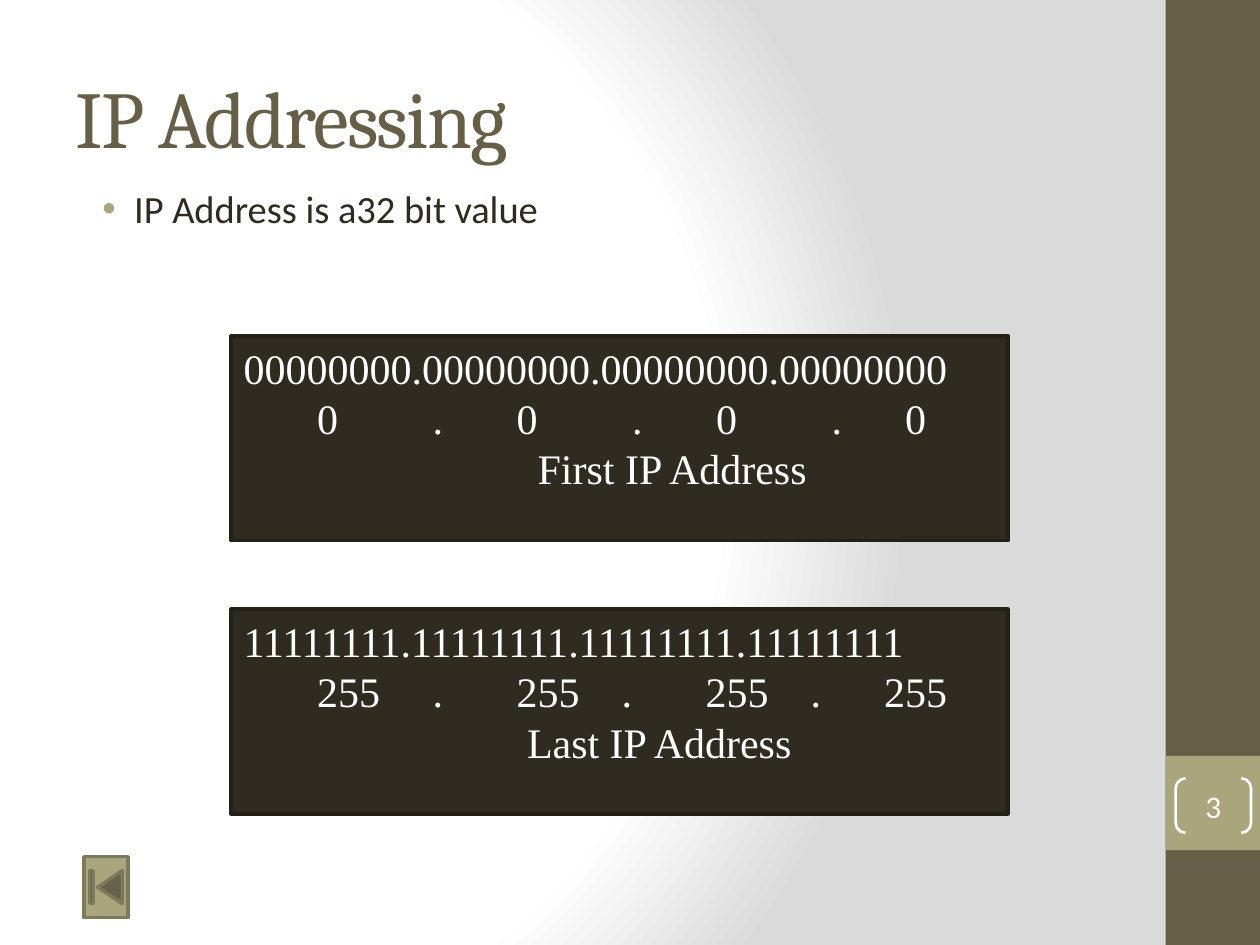
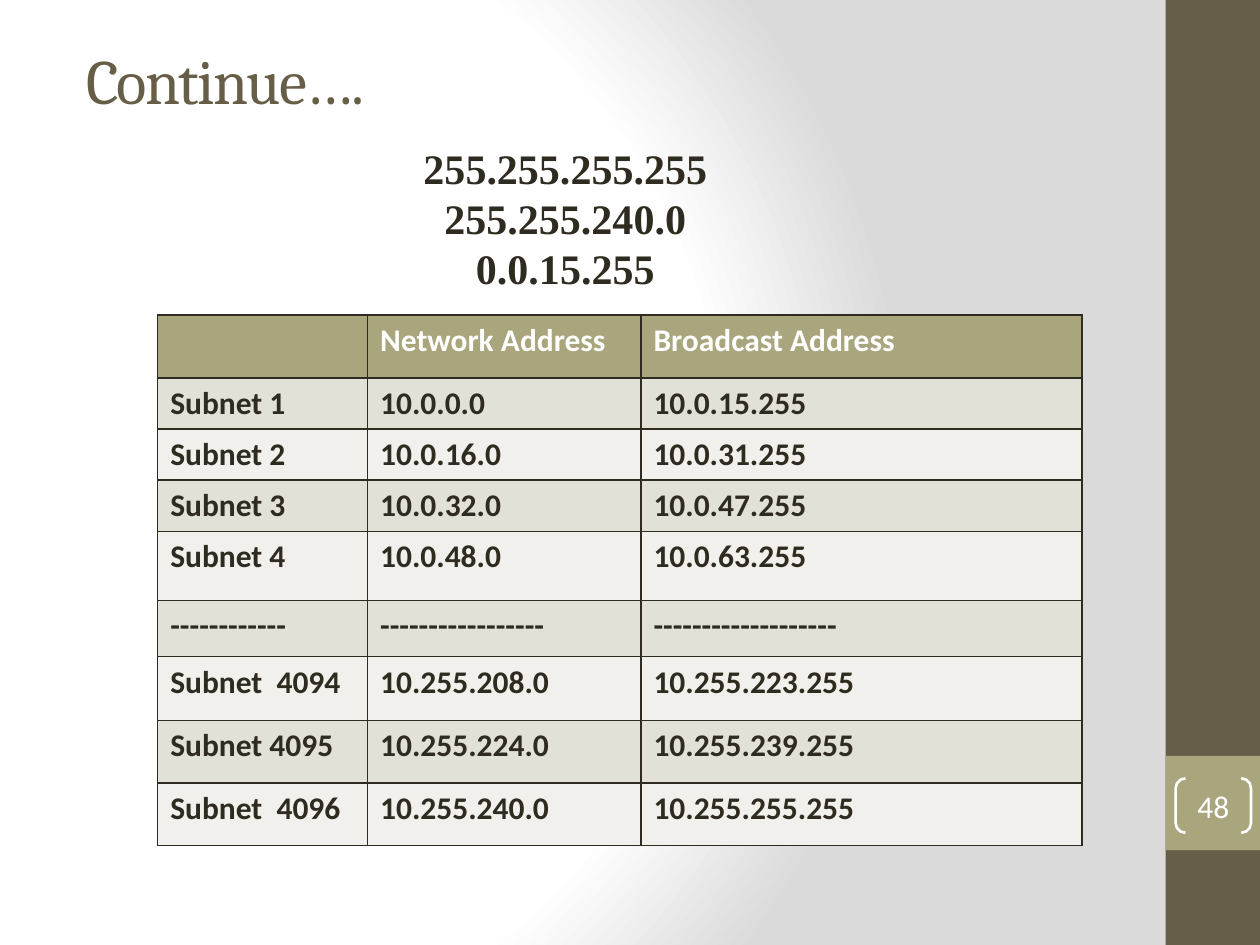
from lxml import etree
from pptx import Presentation
from pptx.dml.color import RGBColor
from pptx.enum.shapes import MSO_SHAPE as SHAPE
from pptx.enum.text import MSO_ANCHOR as ANCHOR, MSO_AUTO_SIZE as AUTO, PP_ALIGN as ALIGN
from pptx.oxml import parse_xml
from pptx.oxml.ns import nsdecls, qn
from pptx.util import Cm, Pt

BROWN = RGBColor(0x67, 0x5E, 0x47)
OLIVE = RGBColor(0xA9, 0xA5, 0x7C)
OLIVE_EDGE = RGBColor(0x7D, 0x7A, 0x5C)
INK = RGBColor(0x2F, 0x2B, 0x20)
INK_EDGE = RGBColor(0x23, 0x20, 0x18)
WHITE = RGBColor(0xFF, 0xFF, 0xFF)
BANDS = (RGBColor(0xF1, 0xF0, 0xEC), RGBColor(0xE2, 0xE1, 0xD7))
HEAD, BODY, SERIF = "Cambria", "Calibri", "Times New Roman"
TAB_STEP = Cm(12.7) // 60

BACKGROUND = f"""<p:bg {nsdecls('p', 'a')}><p:bgPr><a:gradFill rotWithShape="1"><a:gsLst>
<a:gs pos="0"><a:srgbClr val="FFFFFF"/></a:gs>
<a:gs pos="75000"><a:srgbClr val="FFFFFF"/></a:gs>
<a:gs pos="100000"><a:srgbClr val="DADADA"/></a:gs></a:gsLst>
<a:path path="circle"><a:fillToRect l="20000" t="50000" r="100000" b="50000"/></a:path>
</a:gradFill><a:effectLst/></p:bgPr></p:bg>"""

SUBNETS = [
    ("", "Network Address", "Broadcast Address"),
    ("Subnet 1", "10.0.0.0", "10.0.15.255"),
    ("Subnet 2", "10.0.16.0", "10.0.31.255"),
    ("Subnet 3", "10.0.32.0", "10.0.47.255"),
    ("Subnet 4", "10.0.48.0", "10.0.63.255"),
    ("-" * 12, "-" * 17, "-" * 19),
    ("Subnet  4094", "10.255.208.0", "10.255.223.255"),
    ("Subnet 4095", "10.255.224.0", "10.255.239.255"),
    ("Subnet  4096", "10.255.240.0", "10.255.255.255"),
]
COL_WIDTHS = (4.23, 5.51, 8.89)
ROW_HEIGHTS = (1.27, 1.02, 1.02, 1.02, 1.4, 1.13, 1.29, 1.26, 1.26)


def set_background(prs):
    c_sld = prs.slide_master.element.cSld
    c_sld.remove(c_sld.find(qn("p:bg")))
    c_sld.insert(0, parse_xml(BACKGROUND))


def style(p, font, size, color, bold=False, align=ALIGN.LEFT):
    p.alignment = align
    p.font.name, p.font.size, p.font.bold = font, Pt(size), bold
    p.font.color.rgb = color


def place(sp, left, top, width, height):
    sp.left, sp.top, sp.width, sp.height = map(Cm, (left, top, width, height))


def add_box(s, kind, box, fill=None, edge=None, weight=2):
    sp = s.shapes.add_shape(kind, *map(Cm, box))
    sp.shadow.inherit = False
    if fill is None:
        sp.fill.background()
    else:
        sp.fill.solid()
        sp.fill.fore_color.rgb = fill
    if edge is None:
        sp.line.fill.background()
    else:
        sp.line.color.rgb = edge
        sp.line.width = Pt(weight)
    return sp


def add_side_band(s, number):
    add_box(s, SHAPE.RECTANGLE, (23.5, 0, 1.9, 19.05), BROWN)
    add_box(s, SHAPE.RECTANGLE, (23.5, 15.24, 1.9, 1.9), OLIVE)
    sp = add_box(s, SHAPE.DOUBLE_BRACKET, (23.7, 15.69, 1.52, 1.1), edge=WHITE, weight=1.5)
    sp.adjustments[0] = 0.18
    tf = sp.text_frame
    tf.margin_left = tf.margin_right = tf.margin_top = tf.margin_bottom = 0
    tf.vertical_anchor = ANCHOR.MIDDLE
    tf.text = number
    style(tf.paragraphs[0], BODY, 18, WHITE, align=ALIGN.CENTER)


def set_title(s, text, left, top, size):
    sp = s.shapes.title
    place(sp, left, top, 21.17, 3.18)
    tf = sp.text_frame
    tf.text = text
    tf.auto_size = AUTO.NONE
    tf.vertical_anchor = ANCHOR.MIDDLE
    p = tf.paragraphs[0]
    style(p, HEAD, size, BROWN)
    p._p.pPr.get_or_add_defRPr().set("spc", "-100")


def start_slide(prs, layout, number, title, left, top, size):
    s = prs.slides.add_slide(prs.slide_layouts[layout])
    add_side_band(s, number)
    set_title(s, title, left, top, size)
    return s


def set_bullet(s, text):
    sp = s.placeholders[1]
    place(sp, 1.48, 3.6, 21.17, 1.7)
    tf = sp.text_frame
    tf.text = text
    tf.auto_size = AUTO.NONE
    p = tf.paragraphs[0]
    p_pr = p._p.get_or_add_pPr()
    p_pr.set("marL", str(Cm(0.97)))
    p_pr.set("indent", str(-Cm(0.64)))
    color = etree.SubElement(p_pr, qn("a:buClr"))
    etree.SubElement(color, qn("a:srgbClr"), val=str(OLIVE))
    etree.SubElement(p_pr, qn("a:buFont"), typeface="Arial")
    etree.SubElement(p_pr, qn("a:buChar"), char="•")
    p.space_before = Pt(0)
    style(p, BODY, 22, INK)


def add_address_box(s, top, bits, octet, caption, stops, caption_indent):
    sp = add_box(s, SHAPE.RECTANGLE, (4.66, top, 15.66, 4.13), INK, INK_EDGE)
    tf = sp.text_frame
    tf.word_wrap = True
    tf.vertical_anchor = ANCHOR.TOP
    octets = "\t" + "\t.\t".join([octet] * 4)
    tf.text = "\n".join([".".join([bits] * 4), octets, caption])
    _, octet_line, caption_line = tf.paragraphs
    tabs = etree.SubElement(octet_line._p.get_or_add_pPr(), qn("a:tabLst"))
    for stop in stops:
        etree.SubElement(tabs, qn("a:tab"), pos=str(stop * TAB_STEP), algn="l")
    caption_line._p.get_or_add_pPr().set("marL", str(caption_indent * TAB_STEP))
    for p in tf.paragraphs:
        style(p, SERIF, 24, WHITE)


def add_mask_lines(s, lines):
    tf = s.shapes.add_textbox(Cm(5.36), Cm(2.74), Cm(12.07), Cm(3.33)).text_frame
    tf.word_wrap = True
    tf.text = "\n".join(lines)
    for p in tf.paragraphs:
        style(p, SERIF, 24, INK, True, ALIGN.CENTER)


def set_borders(cell):
    tc_pr = cell._tc.get_or_add_tcPr()
    for side in ("lnL", "lnR", "lnT", "lnB"):
        ln = etree.SubElement(tc_pr, qn(f"a:{side}"), w=str(Pt(1)))
        fill = etree.SubElement(ln, qn("a:solidFill"))
        etree.SubElement(fill, qn("a:srgbClr"), val=str(INK))


def add_subnet_table(s):
    frame = s.shapes.add_table(len(SUBNETS), len(COL_WIDTHS), Cm(3.18), Cm(6.35),
                               Cm(sum(COL_WIDTHS)), Cm(sum(ROW_HEIGHTS)))
    table = frame.table
    for column, width in zip(table.columns, COL_WIDTHS):
        column.width = Cm(width)
    for i, (row, height) in enumerate(zip(table.rows, ROW_HEIGHTS)):
        row.height = Cm(height)
        for cell, text in zip(row.cells, SUBNETS[i]):
            set_borders(cell)
            cell.fill.solid()
            cell.fill.fore_color.rgb = BANDS[i % 2] if i else OLIVE
            cell.text = text
            style(cell.text_frame.paragraphs[0], BODY, 18, INK if i else WHITE, True)


def main():
    prs = Presentation()
    prs.slide_width, prs.slide_height = Cm(25.4), Cm(19.05)
    set_background(prs)

    s = start_slide(prs, 1, "3", "IP Addressing", 1.27, 0.76, 46)
    set_bullet(s, "IP Address is a32 bit value")
    add_address_box(s, 6.77, "0" * 8, "0", "First IP Address",
                    (7, 18, 26, 37, 45, 56, 63), 28)
    add_address_box(s, 12.28, "1" * 8, "255", "Last IP Address",
                    (7, 18, 26, 36, 44, 54, 61), 27)
    add_box(s, SHAPE.ACTION_BUTTON_BEGINNING, (1.69, 17.27, 0.89, 1.23), OLIVE, OLIVE_EDGE)

    s = start_slide(prs, 5, "48", "Continue….", 1.48, 0, 36)
    add_subnet_table(s)
    add_mask_lines(s, ("255.255.255.255", "255.255.240.0", "0.0.15.255"))

    prs.save("out.pptx")


if __name__ == "__main__":
    main()
